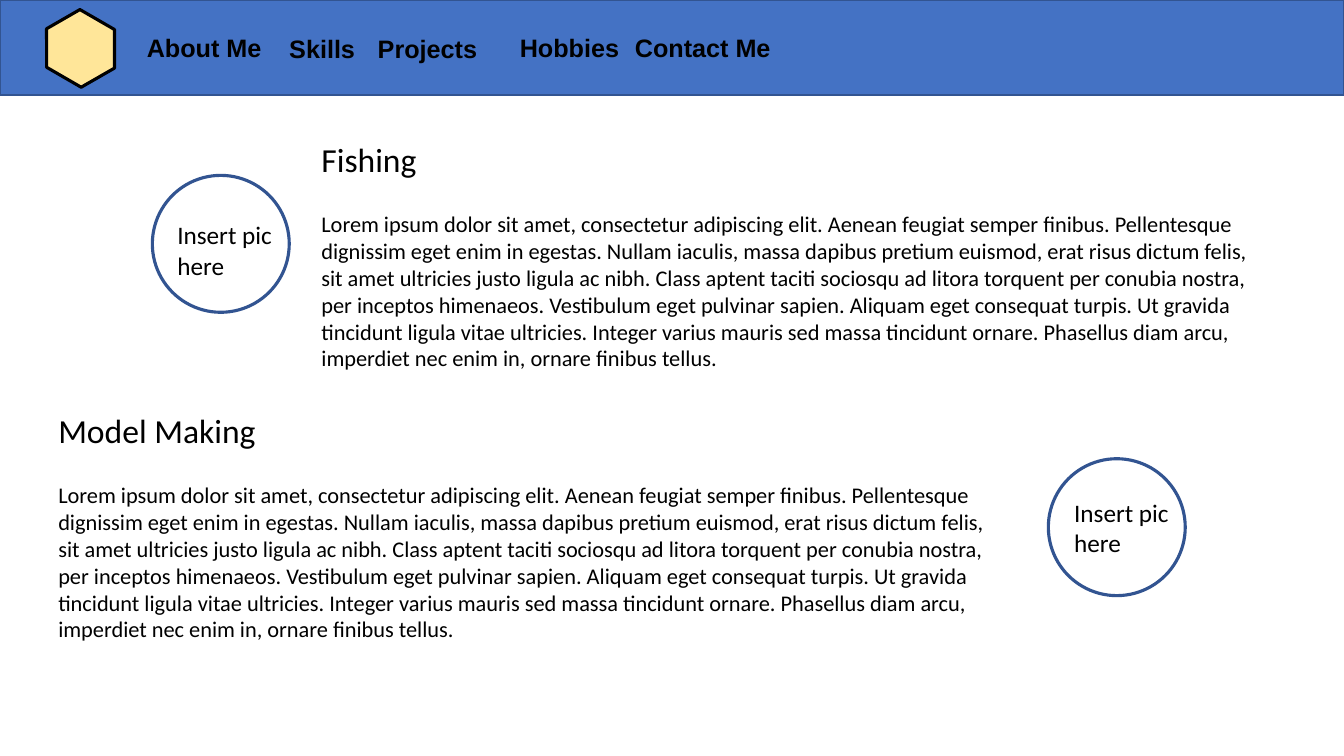
from typing import NamedTuple

from pptx import Presentation
from pptx.dml.color import RGBColor
from pptx.enum import shapes, text
from pptx.util import Cm, Pt

BLUE, DARK_BLUE, CREAM, BLACK = "4472C4", "325491", "FFE699", "000000"
LOREM = (
    "Lorem ipsum dolor sit amet, consectetur adipiscing elit. Aenean feugiat semper finibus. "
    "Pellentesque dignissim eget enim in egestas. Nullam iaculis, massa dapibus pretium euismod, "
    "erat risus dictum felis, sit amet ultricies justo ligula ac nibh. Class aptent taciti sociosqu "
    "ad litora torquent per conubia nostra, per inceptos himenaeos. Vestibulum eget pulvinar sapien. "
    "Aliquam eget consequat turpis. Ut gravida tincidunt ligula vitae ultricies. Integer varius "
    "mauris sed massa tincidunt ornare. Phasellus diam arcu, imperdiet nec enim in, ornare finibus "
    "tellus."
)


class Box(NamedTuple):
    left: float
    top: float
    width: float
    height: float


class NavItem(NamedTuple):
    label: str
    left: float
    top: float


class Hobby(NamedTuple):
    title: str
    body: Box
    circle: Box
    label: Box


NAV_ITEMS = [
    NavItem("About Me", 3.45, 0.69),
    NavItem("Skills", 7.04, 0.71),
    NavItem("Projects", 9.27, 0.71),
    NavItem("Hobbies", 12.85, 0.69),
    NavItem("Contact Me", 15.75, 0.69),
]
HOBBIES = [
    Hobby("Fishing", Box(7.85, 3.38, 24.16, 6.15),
          Box(3.84, 4.42, 3.45, 3.45), Box(4.22, 5.41, 3.07, 1.8)),
    Hobby("Model Making", Box(1.22, 10.21, 24.16, 6.15),
          Box(26.42, 11.56, 3.45, 3.45), Box(26.82, 12.4, 3.07, 1.8)),
]


def rgb(value: str) -> RGBColor:
    return RGBColor.from_string(value)


def add_outline_shape(s, kind, box: Box, line: str, weight: float, fill: str = ""):
    """Add a shape with an outline, unfilled when no fill is given."""
    sp = s.shapes.add_shape(kind, *map(Cm, box))
    sp.shadow.inherit = False
    sp.line.color.rgb = rgb(line)
    sp.line.width = Pt(weight)
    if fill:
        sp.fill.solid()
        sp.fill.fore_color.rgb = rgb(fill)
    else:
        sp.fill.background()
    return sp


def add_text(s, box: Box, lines: list[str], sizes: list[float],
             font: str = "Calibri", bold: bool = False, wrap: bool = True):
    """Add a text box with one paragraph and one font size per line."""
    tf = s.shapes.add_textbox(*map(Cm, box)).text_frame
    tf.word_wrap = wrap
    tf.auto_size = text.MSO_AUTO_SIZE.SHAPE_TO_FIT_TEXT
    tf.text = "\n".join(lines)
    for p, size in zip(tf.paragraphs, sizes):
        for r in p.runs:
            r.font.name = font
            r.font.size = Pt(size)
            r.font.bold = bold
            r.font.color.rgb = rgb(BLACK)
    return tf


def add_hobby(s, hobby: Hobby) -> None:
    add_outline_shape(s, shapes.MSO_SHAPE.OVAL, hobby.circle, DARK_BLUE, 2.25)
    tf = add_text(s, hobby.body, [hobby.title, LOREM], [24, 16])
    tf.paragraphs[0].space_after = Pt(22)
    add_text(s, hobby.label, ["Insert pic", "here"], [18, 18], wrap=False)


def add_nav_bar(s) -> None:
    add_outline_shape(s, shapes.MSO_SHAPE.RECTANGLE, Box(0, 0, 33.87, 2.4), DARK_BLUE, 1, BLUE)
    logo = add_outline_shape(s, shapes.MSO_SHAPE.HEXAGON, Box(1.04, 0.38, 1.98, 1.68),
                             BLACK, 2.25, CREAM)
    logo.adjustments[0] = 0.29
    logo.rotation = 30
    for item in NAV_ITEMS:
        add_text(s, Box(item.left, item.top, 4.17, 1.02), [item.label], [18], "Arial", bold=True)


def main() -> None:
    prs = Presentation()
    prs.slide_width, prs.slide_height = Cm(33.87), Cm(19.05)
    s = prs.slides.add_slide(prs.slide_layouts.get_by_name("Blank"))
    for hobby in HOBBIES:
        add_hobby(s, hobby)
    add_nav_bar(s)
    prs.save("out.pptx")


if __name__ == "__main__":
    main()
